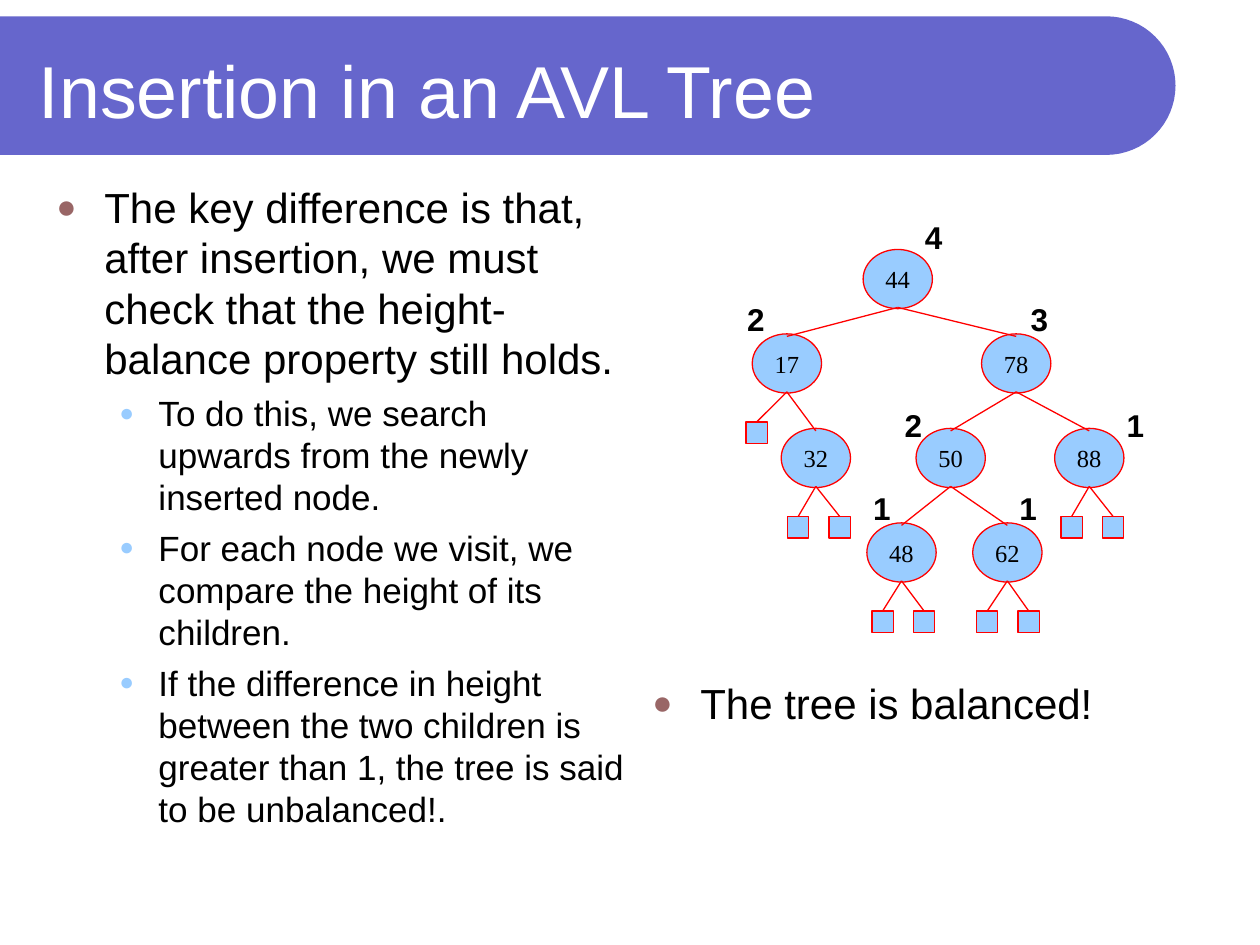
from math import cos, pi, sin

from lxml.etree import SubElement
from pptx import Presentation
from pptx.dml.color import RGBColor
from pptx.enum.shapes import MSO_CONNECTOR, MSO_SHAPE
from pptx.enum.text import MSO_ANCHOR, PP_ALIGN
from pptx.oxml.ns import qn
from pptx.util import Inches, Pt

TITLE = "Insertion in an AVL Tree"
KEY_POINTS = [
    (0, "The key difference is that, after insertion, we must check that the "
        "height-balance property still holds."),
    (1, "To do this, we search upwards from the newly inserted node."),
    (1, "For each node we visit, we compare the height of its children."),
    (1, "If the difference in height between the two children is greater "
        "than 1, the tree is said to be unbalanced!."),
]
CONCLUSION = [(0, "The tree is balanced!")]

# key: (depth, left edge, parent)
NODES = {
    "44": (0, 6.85, None),
    "17": (1, 5.97, "44"),
    "78": (1, 7.79, "44"),
    "32": (2, 6.20, "17"),
    "50": (2, 7.27, "78"),
    "88": (2, 8.37, "78"),
    "48": (3, 6.88, "50"),
    "62": (3, 7.72, "50"),
}
# parent: left edges of its empty leaves
LEAVES = {
    "17": [5.92],
    "32": [6.25, 6.58],
    "48": [6.92, 7.25],
    "88": [8.42, 8.75],
    "62": [7.75, 8.08],
}
# height, left, top
HEIGHTS = [
    ("4", 7.24, 1.68), ("2", 5.83, 2.33), ("3", 8.08, 2.33), ("2", 7.08, 3.17),
    ("1", 8.84, 3.17), ("1", 6.83, 3.83), ("1", 7.99, 3.83),
]

LEVEL_TOPS = [1.98, 2.65, 3.40, 4.15]
NODE_W, NODE_H, LEAF = 0.55, 0.47, 0.17
LEAF_DROP = 0.70
EDGE_START, EDGE_END = 0.46, 0.02  # edges reach slightly inside the ellipses

THEME = {
    "banner": RGBColor.from_string("6666CC"),
    "title": RGBColor.from_string("FFFFFF"),
    "text": RGBColor.from_string("000000"),
    "node": RGBColor.from_string("99CCFF"),
    "edge": RGBColor.from_string("FF0000"),
    "sans": "Arial",
    "serif": "Times New Roman",
    "title_size": 42,
    "height_size": 18,
    "node_size": 14,
    "edge_width": 0.75,
    "levels": [
        {"size": 24, "before": 6, "left": 0.38, "hang": 0.38,
         "bullet": "996666", "percent": 80},
        {"size": 20, "before": 5, "left": 0.81, "hang": 0.31,
         "bullet": "99CCFF", "percent": 70},
    ],
}


def set_font(paragraph, size, color="text", face="sans", bold=False):
    font = paragraph.font
    font.name, font.size, font.bold = THEME[face], Pt(size), bold
    font.color.rgb = THEME[color]


def add_banner(slide, top=0.13, right=9.33, height=1.1, steps=32):
    """Draw a bar from the left slide edge with a semicircular right end."""
    radius = height / 2
    angles = [-pi / 2 + pi * step / steps for step in range(steps + 1)]
    arc = [(Inches(right - radius + radius * cos(angle)),
            Inches(top + radius + radius * sin(angle))) for angle in angles]
    builder = slide.shapes.build_freeform(0, Inches(top))
    builder.add_line_segments(arc + [(0, Inches(top + height))], close=True)
    banner = builder.convert_to_shape()
    banner.shadow.inherit = False
    banner.fill.solid()
    banner.fill.fore_color.rgb = THEME["banner"]
    banner.line.fill.background()


def add_text_frame(slide, left, top, width, height, wrap=True):
    box = slide.shapes.add_textbox(*map(Inches, (left, top, width, height)))
    box.text_frame.word_wrap = wrap
    return box.text_frame


def add_bullets(slide, bounds, points):
    frame = add_text_frame(slide, *bounds)
    for index, (level, wording) in enumerate(points):
        style = THEME["levels"][level]
        paragraph = frame.add_paragraph() if index else frame.paragraphs[0]
        paragraph.text, paragraph.level = wording, level
        paragraph.space_before = Pt(style["before"])
        set_font(paragraph, style["size"])
        properties = paragraph._p.get_or_add_pPr()
        properties.set("marL", str(Inches(style["left"])))
        properties.set("indent", str(-Inches(style["hang"])))
        marker_color = SubElement(properties, qn("a:buClr"))
        SubElement(marker_color, qn("a:srgbClr"), val=style["bullet"])
        SubElement(properties, qn("a:buSzPct"), val=str(style["percent"] * 1000))
        SubElement(properties, qn("a:buFont"), typeface=THEME["sans"])
        SubElement(properties, qn("a:buChar"), char="●")
        # The schema wants the default run properties after the bullet.
        properties.append(properties.find(qn("a:defRPr")))


def add_tree_shape(slide, kind, left, top, width, height):
    shape = slide.shapes.add_shape(kind, *map(Inches, (left, top, width, height)))
    shape.shadow.inherit = False
    shape.fill.solid()
    shape.fill.fore_color.rgb = THEME["node"]
    shape.line.color.rgb = THEME["edge"]
    shape.line.width = Pt(THEME["edge_width"])
    return shape


def add_node(slide, key):
    depth, left, _ = NODES[key]
    node = add_tree_shape(slide, MSO_SHAPE.OVAL, left, LEVEL_TOPS[depth], NODE_W, NODE_H)
    frame = node.text_frame
    frame.word_wrap = False
    frame.vertical_anchor = MSO_ANCHOR.MIDDLE
    label = frame.paragraphs[0]
    label.text, label.alignment = key, PP_ALIGN.CENTER
    set_font(label, THEME["node_size"], face="serif")


def add_edge(slide, parent, end_x, end_y):
    """Draw a line from the bottom of a parent node to a point on its child."""
    depth, left, _ = NODES[parent]
    start = (left + NODE_W / 2, LEVEL_TOPS[depth] + EDGE_START)
    edge = slide.shapes.add_connector(
        MSO_CONNECTOR.STRAIGHT, *map(Inches, (*start, end_x, end_y)))
    edge.line.color.rgb = THEME["edge"]
    edge.line.width = Pt(THEME["edge_width"])
    SubElement(edge._element.spPr, qn("a:effectLst"))
    return edge


def add_tree(slide):
    for key in NODES:
        add_node(slide, key)
    for depth, left, parent in NODES.values():
        if parent:
            add_edge(slide, parent, left + NODE_W / 2, LEVEL_TOPS[depth] + EDGE_END)
    for parent, lefts in LEAVES.items():
        top = LEVEL_TOPS[NODES[parent][0]] + LEAF_DROP
        for left in lefts:
            leaf = add_tree_shape(slide, MSO_SHAPE.RECTANGLE, left, top, LEAF, LEAF)
            add_edge(slide, parent, left + LEAF / 2, top).end_connect(leaf, 0)
    for height, left, top in HEIGHTS:
        label = add_text_frame(slide, left, top, 0.34, 0.4, wrap=False).paragraphs[0]
        label.text, label.alignment = height, PP_ALIGN.CENTER
        set_font(label, THEME["height_size"], bold=True)


def main():
    deck = Presentation()
    deck.slide_width, deck.slide_height = Inches(10), Inches(7.5)
    slide = deck.slides.add_slide(deck.slide_layouts[6])
    add_banner(slide)
    add_tree(slide)
    title_frame = add_text_frame(slide, 0.21, 0.21, 8.77, 1)
    title_frame.vertical_anchor = MSO_ANCHOR.MIDDLE
    title_frame.text = TITLE
    set_font(title_frame.paragraphs[0], THEME["title_size"], "title")
    add_bullets(slide, (0.35, 1.39, 4.73, 5.75), KEY_POINTS)
    add_bullets(slide, (5.08, 5.33, 4.56, 1.8), CONCLUSION)
    deck.save("out.pptx")


if __name__ == "__main__":
    main()
